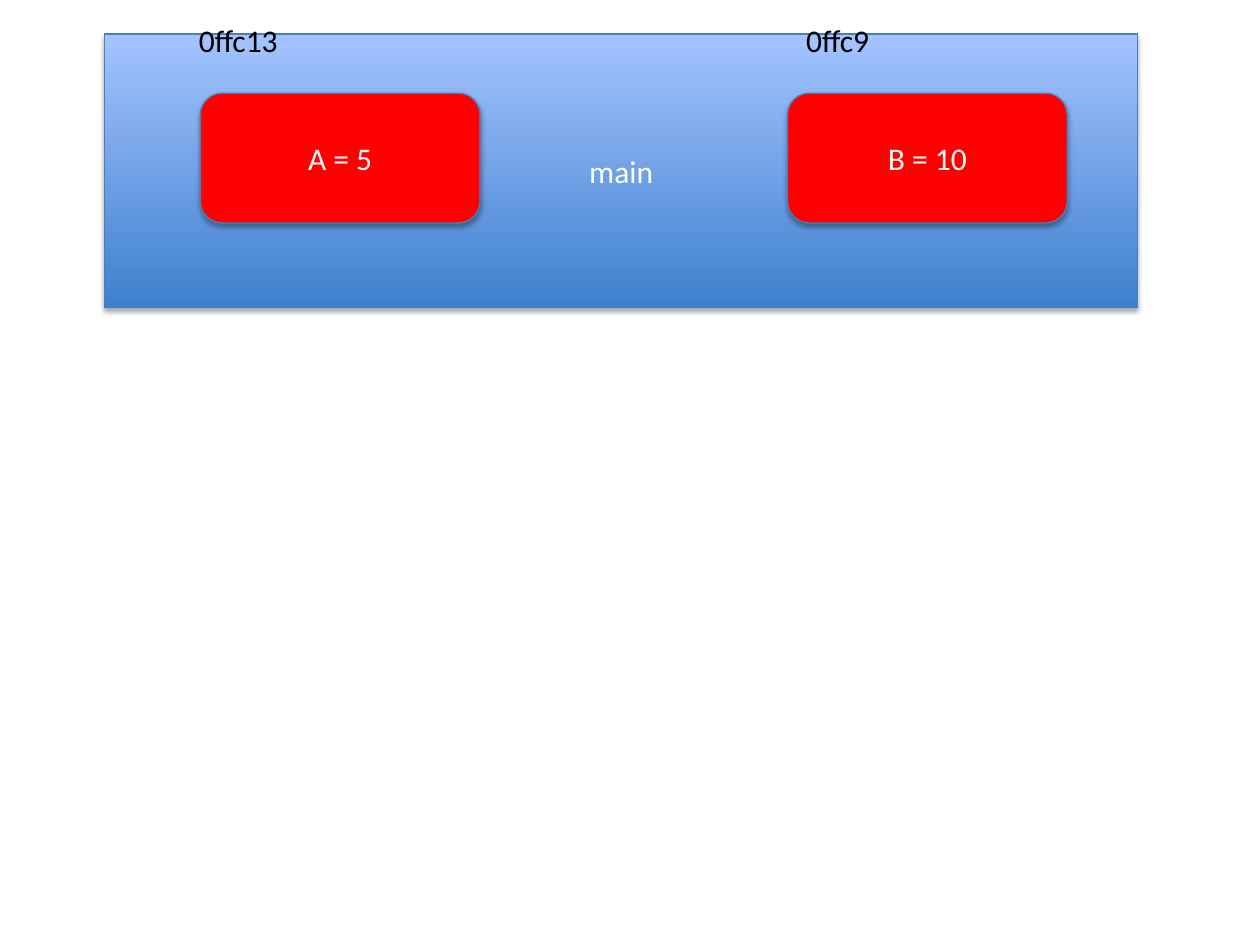
import pptx
import pptx.util
import pptx.dml.color
import pptx.enum.shapes
import pptx.enum.text
import pptx.oxml
import pptx.oxml.ns

Inches = pptx.util.Inches
SHAPES = pptx.enum.shapes.MSO_SHAPE
ALIGN = pptx.enum.text.PP_ALIGN
SHADOW = (
    '<a:outerShdw %s blurRad="39370" dist="22860" dir="5400000" rotWithShape="0">'
    '<a:srgbClr val="000000"><a:alpha val="35000"/></a:srgbClr></a:outerShdw>'
    % pptx.oxml.ns.nsdecls("a")
)


def rgb(value):
    return pptx.dml.color.RGBColor.from_string(value)


def write(shape, text, color, align):
    paragraph = shape.text_frame.paragraphs[0]
    paragraph.alignment = align
    run = paragraph.add_run()
    run.text = text
    run.font.color.rgb = rgb(color)
    for name, value in {"name": "Calibri", "size": pptx.util.Pt(18)}.items():
        setattr(run.font, name, value)


deck = pptx.Presentation()
deck.slide_width, deck.slide_height = Inches(10), Inches(7.5)
slide = deck.slides.add_slide(deck.slide_layouts[6])

# Stack frame of main and its two variables
boxes = [
    ("main", SHAPES.RECTANGLE, (0.83, 0.27, 8.2, 2.17), None),
    ("A = 5", SHAPES.ROUNDED_RECTANGLE, (1.59, 0.74, 2.22, 1.03), "FF0000"),
    ("B = 10", SHAPES.ROUNDED_RECTANGLE, (6.25, 0.74, 2.22, 1.03), "FF0000"),
]
for text, kind, place, color in boxes:
    box = slide.shapes.add_shape(kind, *map(Inches, place))
    if color:
        box.fill.solid()
        box.fill.fore_color.rgb = rgb(color)
    else:
        box.fill.gradient()
        box.fill.gradient_angle = 90
        for stop, (position, shade) in zip(
            box.fill.gradient_stops, [(0, "3F80CE"), (1, "A4C4FF")]
        ):
            stop.position = position
            stop.color.rgb = rgb(shade)
    box.line.color.rgb = rgb("4B7EBC")
    box.line.width = pptx.util.Pt(0.75)
    box.shadow.inherit = False
    effects = box._element.spPr.find(pptx.oxml.ns.qn("a:effectLst"))
    effects.append(pptx.oxml.parse_xml(SHADOW))
    box.text_frame.vertical_anchor = pptx.enum.text.MSO_ANCHOR.MIDDLE
    write(box, text, "FFFFFF", ALIGN.CENTER)

# Memory addresses above the variables
for address, left, width in [("0ffc13", 1.48, 0.84), ("0ffc9", 6.3, 0.71)]:
    label = slide.shapes.add_textbox(
        Inches(left), Inches(0.12), Inches(width), Inches(0.4)
    )
    label.text_frame.word_wrap = False
    label.text_frame.auto_size = pptx.enum.text.MSO_AUTO_SIZE.SHAPE_TO_FIT_TEXT
    write(label, address, "000000", ALIGN.LEFT)

deck.save("out.pptx")
